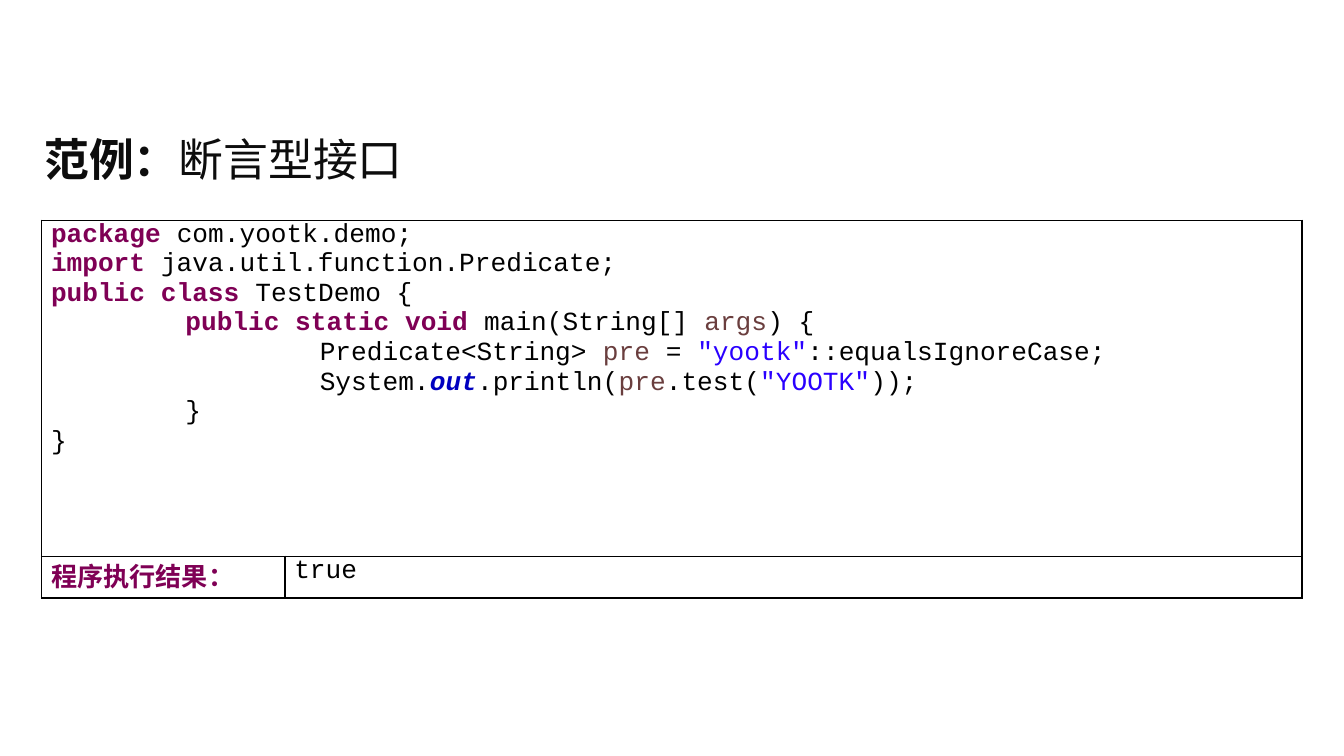
from lxml.etree import SubElement
from pptx import Presentation
from pptx.dml.color import RGBColor
from pptx.enum.text import MSO_ANCHOR, PP_ALIGN
from pptx.oxml import parse_xml
from pptx.oxml.ns import nsdecls, qn
from pptx.util import Inches, Pt

CJK, MONO = "Noto Sans CJK SC", "Courier New"
# Style name: colour, bold, italic
STYLES = {
    "heading": ("0D0D0D", True, False),
    "topic": ("0D0D0D", False, False),
    "plain": ("000000", False, False),
    "keyword": ("7F0055", True, False),
    "variable": ("6A3E3E", False, False),
    "string": ("2A00FF", False, False),
    "static": ("0000C0", True, True),
}


def add_styled_runs(paragraph, pieces, size, latin):
    for text, style in pieces:
        run = paragraph.add_run()
        run.text = text
        color, run.font.bold, run.font.italic = STYLES[style]
        run.font.size = Pt(size)
        run.font.name = latin
        run.font.color.rgb = RGBColor.from_string(color)
        SubElement(run.font._element, qn("a:ea")).set("typeface", CJK)


code_lines = [
    [("package", "keyword"), (" com.yootk.demo;", "plain")],
    [("import", "keyword"), (" java.util.function.Predicate;", "plain")],
    [("public class", "keyword"), (" TestDemo {", "plain")],
    [("\t", "plain"), ("public static void", "keyword"), (" main(String[] ", "plain"),
     ("args", "variable"), (") {", "plain")],
    [("\t\tPredicate<String> ", "plain"), ("pre", "variable"), (" = ", "plain"),
     ('"yootk"', "string"), ("::equalsIgnoreCase;", "plain")],
    [("\t\tSystem.", "plain"), ("out", "static"), (".println(", "plain"),
     ("pre", "variable"), (".test(", "plain"), ('"YOOTK"', "string"), ("));", "plain")],
    [("\t}", "plain")],
    [("}", "plain")],
]

prs = Presentation()
prs.slide_width, prs.slide_height = Inches(10), Inches(5.625)
slide = prs.slides.add_slide(prs.slide_layouts[5])

title = slide.shapes.title
title.left, title.top = Inches(0.23), Inches(0.86)
title.width, title.height = Inches(9.53), Inches(0.64)
title.text_frame.vertical_anchor = MSO_ANCHOR.MIDDLE
heading = title.text_frame.paragraphs[0]
heading.alignment = PP_ALIGN.LEFT
add_styled_runs(heading, [("范例：", "heading"), ("断言型接口", "topic")], 24, CJK)

listing = slide.shapes.add_table(
    2, 2, Inches(0.31), Inches(1.64), Inches(9.38), Inches(2.81)).table
listing.first_row = listing.horz_banding = False
for column, width in zip(listing.columns, (1.81, 7.57)):
    column.width = Inches(width)
for row, height in zip(listing.rows, (2.5, 0.31)):
    row.height = Inches(height)

for cell in listing.iter_cells():
    cell.margin_left = cell.margin_right = Inches(0.07)
    cell.margin_top = cell.margin_bottom = 0
    for side in ("lnL", "lnR", "lnT", "lnB"):
        cell._tc.get_or_add_tcPr().append(parse_xml(
            f'<a:{side} {nsdecls("a")} w="{Pt(1)}"><a:solidFill>'
            f'<a:srgbClr val="000000"/></a:solidFill></a:{side}>'))
    cell.fill.background()
listing.cell(0, 0).merge(listing.cell(0, 1))

cell_lines = {
    (0, 0): code_lines,
    (1, 0): [[("程序执行结果：", "keyword")]],
    (1, 1): [[("true", "plain")]],
}
for position, lines in cell_lines.items():
    frame = listing.cell(*position).text_frame
    for index, pieces in enumerate(lines):
        paragraph = frame.add_paragraph() if index else frame.paragraphs[0]
        if pieces[0][0].startswith("\t"):
            tab_stops = SubElement(paragraph._p.get_or_add_pPr(), qn("a:tabLst"))
            for stop in (1, 2):
                SubElement(tab_stops, qn("a:tab"), pos=str(Inches(stop)), algn="l")
        add_styled_runs(paragraph, pieces, 14, MONO)

prs.save("out.pptx")
